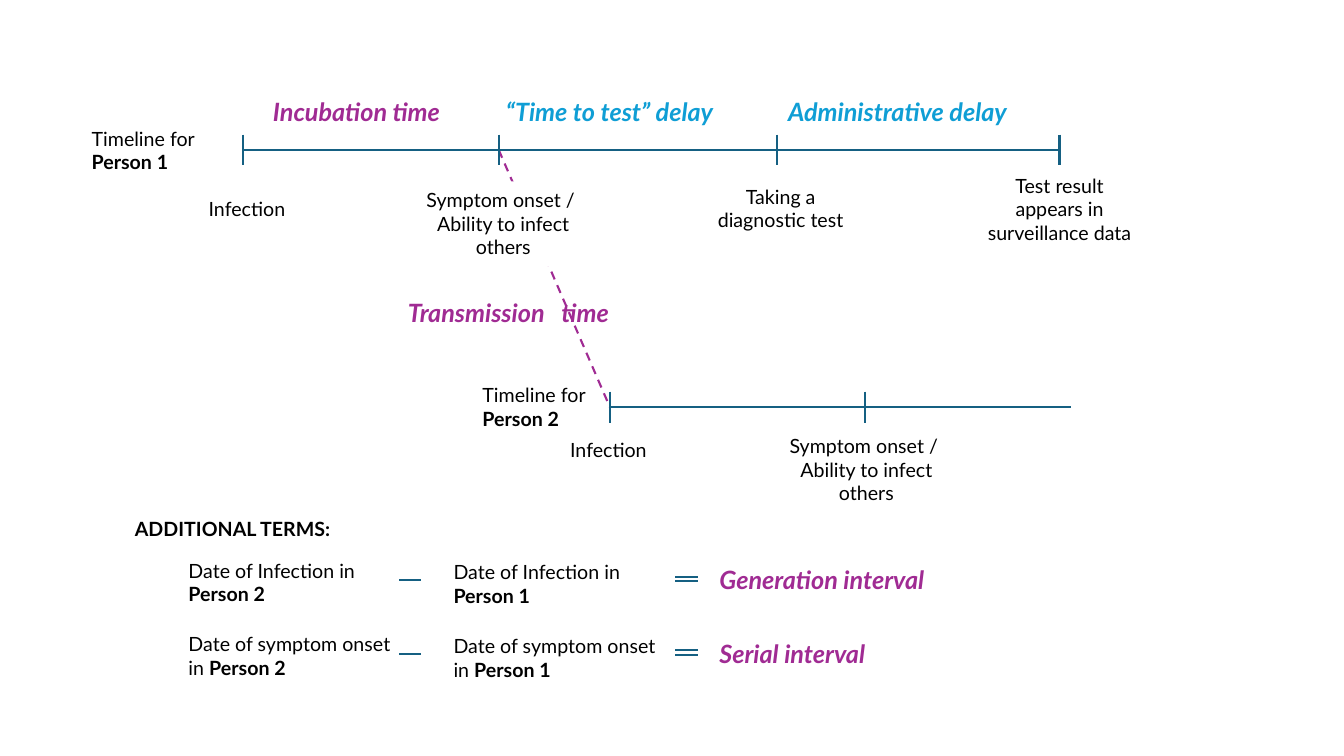
"""Builds the slide of infection timelines and interval definitions."""
import dataclasses

import lxml.etree
import pptx
import pptx.dml.color
import pptx.enum.dml
import pptx.enum.shapes
import pptx.enum.text
import pptx.oxml.ns
import pptx.util

Cm = pptx.util.Cm
ALIGN = pptx.enum.text.PP_ALIGN


@dataclasses.dataclass(frozen=True)
class Theme:
    """Font, type sizes and colours."""
    font: str = "Lato"
    body: float = 14
    term: float = 18
    line: float = 1.5
    text: str = "000000"
    paper: str = "FFFFFF"
    axis: str = "156082"
    purple: str = "A02B93"
    blue: str = "0F9ED5"


def rgb(value):
    """Turns a hex string into a colour."""
    return pptx.dml.color.RGBColor.from_string(value)


def write(tf, text, *, font, size, color, bold=False, italic=False, align=ALIGN.LEFT):
    """Fills a frame, one paragraph a line, with starred parts in bold."""
    tf.word_wrap = True
    for i, line in enumerate(text.split("\n")):
        p = tf.paragraphs[0] if i == 0 else tf.add_paragraph()
        p.alignment = align
        for j, part in enumerate(line.split("*")):
            if part:
                r = p.add_run()
                r.text = part
                r.font.name = font
                r.font.size = pptx.util.Pt(size)
                r.font.color.rgb = rgb(color)
                r.font.bold = bold or j % 2 == 1
                r.font.italic = italic


class Diagram:
    """Draws styled elements on one slide."""

    def __init__(self, slide, theme):
        """Keeps the slide and the theme."""
        self.s, self.theme = slide, theme

    def label(self, text, x, y, w, h=1.45, **fmt):
        """Adds a text box."""
        t = self.theme
        tf = self.s.shapes.add_textbox(Cm(x), Cm(y), Cm(w), Cm(h)).text_frame
        write(tf, text, **{"font": t.font, "size": t.body, "color": t.text, **fmt})
        tf.auto_size = pptx.enum.text.MSO_AUTO_SIZE.SHAPE_TO_FIT_TEXT
        return tf

    def term(self, text, x, y, w, color):
        """Adds a large coloured term."""
        return self.label(text, x, y, w, 1.02, size=self.theme.term, color=color,
                          bold=True, italic=True)

    def event(self, text, x, y, w, h):
        """Adds a white rounded box with centred text."""
        t = self.theme
        sp = self.s.shapes.add_shape(pptx.enum.shapes.MSO_SHAPE.ROUNDED_RECTANGLE,
                                     Cm(x), Cm(y), Cm(w), Cm(h))
        sp.shadow.inherit = False
        sp.fill.solid()
        sp.fill.fore_color.rgb = rgb(t.paper)
        sp.line.fill.background()
        tf = sp.text_frame
        tf.vertical_anchor = pptx.enum.text.MSO_ANCHOR.MIDDLE
        write(tf, text, font=t.font, size=t.body, color=t.text, align=ALIGN.CENTER)

    def line(self, x1, y1, x2, y2, color=None, dashed=False):
        """Adds a straight line."""
        c = self.s.shapes.add_connector(pptx.enum.shapes.MSO_CONNECTOR.STRAIGHT,
                                        Cm(x1), Cm(y1), Cm(x2), Cm(y2))
        c.line.color.rgb = rgb(color or self.theme.axis)
        c.line.width = pptx.util.Pt(self.theme.line)
        if dashed:
            c.line.dash_style = pptx.enum.dml.MSO_LINE.DASH
        sp_pr = c._element.spPr
        lxml.etree.SubElement(sp_pr, pptx.oxml.ns.qn("a:effectLst"))

    def timeline(self, y, ticks, end):
        """Adds a horizontal axis with tick marks."""
        for x in ticks:
            self.line(x, y - 0.39, x, y + 0.39)
        self.line(ticks[0], y, end, y)

    def equation(self, y, what, result):
        """Adds a row: date in person 2 minus date in person 1 equals a term."""
        self.label(f"{what} in *Person 2*", 4.5, y, 5.9)
        self.label(f"{what} in *Person 1*", 11.18, y + 0.04, 5.9)
        self.line(10.06, y + 0.67, 10.62, y + 0.67)
        for dy in (0.58, 0.7):
            self.line(17.02, y + dy, 17.58, y + dy)
        self.term(result, 17.88, y + 0.15, 6.38, self.theme.purple)


def add_tab_stop(p, x):
    """Sets a left tab stop on a paragraph."""
    tabs = lxml.etree.SubElement(p._p.get_or_add_pPr(), pptx.oxml.ns.qn("a:tabLst"))
    lxml.etree.SubElement(tabs, pptx.oxml.ns.qn("a:tab"), pos=str(Cm(x)), algn="l")


def main():
    """Builds and saves the presentation."""
    prs = pptx.Presentation()
    prs.slide_width, prs.slide_height = Cm(33.87), Cm(19.05)
    theme = Theme()
    d = Diagram(prs.slides.add_slide(prs.slide_layouts[6]), theme)
    y1, y2 = 3.78, 10.26
    ticks1, ticks2 = (6.12, 12.57, 19.58, 26.7), (15.37, 21.79)
    onset = "Symptom onset / \nAbility to infect others"

    for text, x, w, color in (
        ("Incubation time", 6.63, 5.28, theme.purple),
        ("“Time to test” delay", 12.5, 6.4, theme.blue),
        ("Administrative delay", 19.61, 6.73, theme.blue),
    ):
        d.term(text, x, 2.31, w, color)

    d.line(ticks1[1], y1, ticks2[0], y2, theme.purple, dashed=True)
    for text, x, y, w, h in (
        ("Infection", 4.5, 4.32, 3.45, 1.9),
        (onset, 10.36, 4.57, 4.65, 2.13),
        ("Taking a diagnostic test", 17.35, 4.32, 4.65, 1.85),
        ("Test result appears in surveillance data", 24.38, 4.34, 4.65, 1.85),
        ("Infection", 13.61, 10.39, 3.45, 1.9),
        (onset, 19.51, 10.77, 4.65, 2.13),
    ):
        d.event(text, x, y, w, h)

    d.timeline(y1, ticks1, ticks1[-1])
    d.timeline(y2, ticks2, 27)
    d.label("Timeline for\n*Person 1*", 2.06, 3.07, 3.94)
    d.label("Timeline for\n*Person 2*", 11.91, 9.53, 3.94)
    tf = d.term("Transmission\ttime", 10.03, 7.37, 6.38, theme.purple)
    add_tab_stop(tf.paragraphs[0], 3.87)

    d.label("ADDITIONAL TERMS:", 3.15, 12.9, 6.88, 0.86, bold=True)
    d.equation(13.95, "Date of Infection", "Generation interval")
    d.equation(15.81, "Date of symptom onset", "Serial interval")
    prs.save("out.pptx")


if __name__ == "__main__":
    main()
